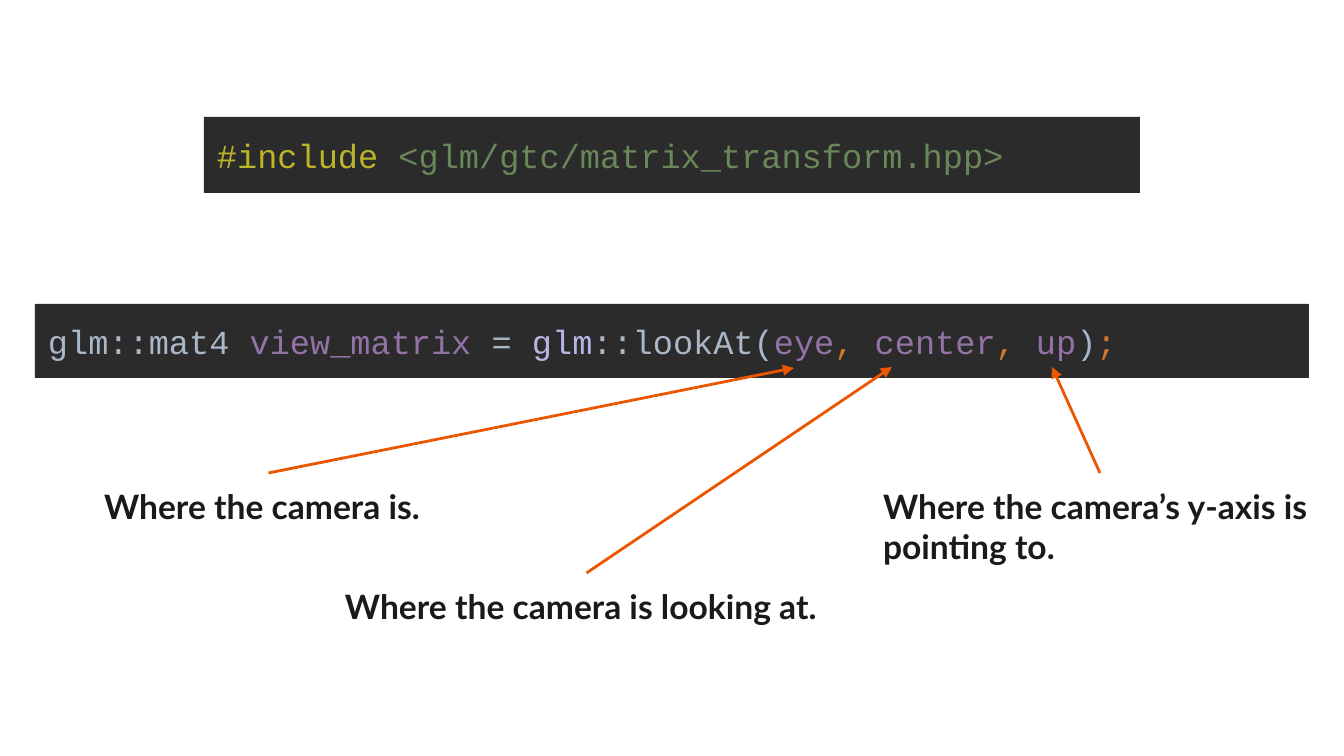
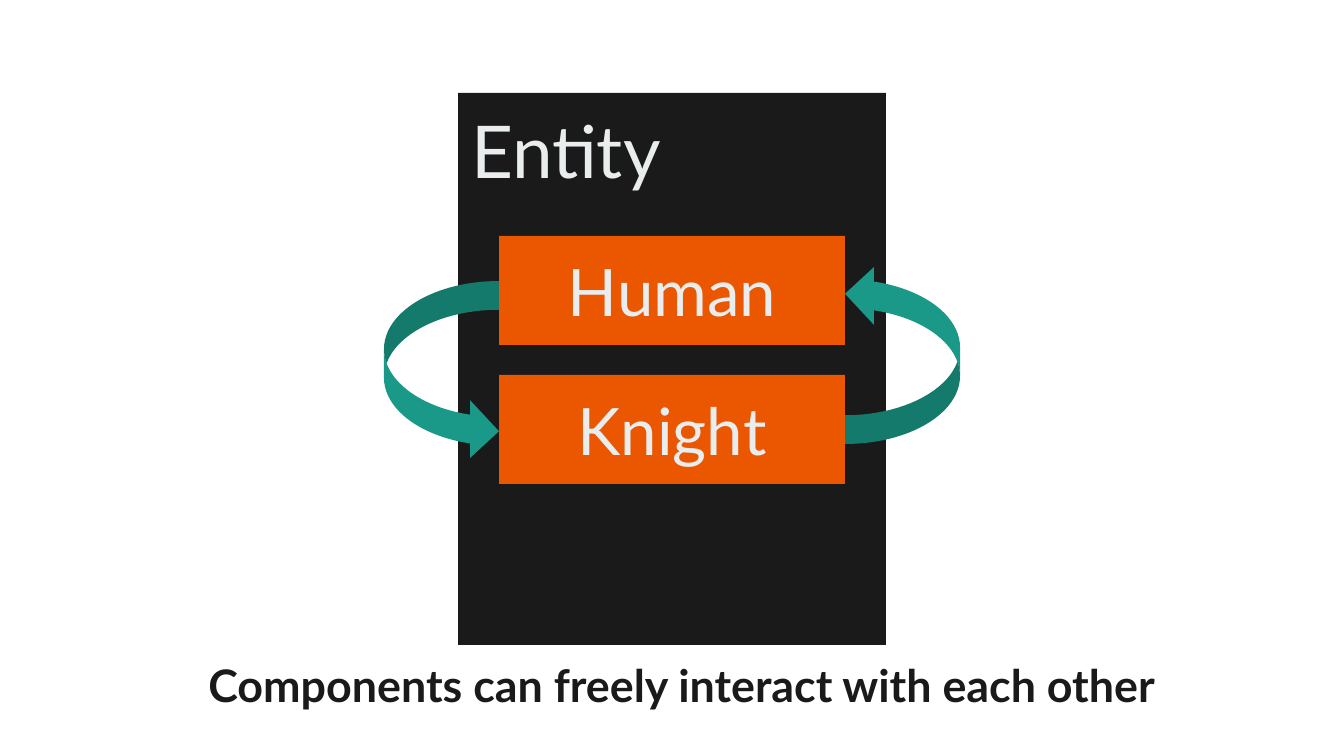
from lxml import etree
from pptx import Presentation
from pptx.dml.color import RGBColor
from pptx.enum.shapes import MSO_CONNECTOR, MSO_SHAPE
from pptx.enum.text import MSO_ANCHOR, PP_ALIGN
from pptx.oxml.ns import qn
from pptx.util import Emu, Pt

PX = 914400 / 134.4
WIDTH, HEIGHT = 1344, 756
INSET = 13

CODE_FONT, TEXT_FONT = "Courier New", "Lato"
INK = RGBColor(0x1A, 0x1A, 0x1A)
PALE = RGBColor(0xE9, 0xED, 0xEE)
ORANGE = RGBColor(0xEB, 0x56, 0x00)
TEAL = RGBColor(0x1A, 0x99, 0x88)
CODE_BACK = RGBColor(0x2B, 0x2B, 0x2B)
PLAIN = RGBColor(0xA9, 0xB7, 0xC6)
VARIABLE = RGBColor(0x93, 0x73, 0xA5)
NAMESPACE = RGBColor(0xB5, 0xB6, 0xE3)
PUNCTUATION = RGBColor(0xCC, 0x78, 0x32)
DIRECTIVE = RGBColor(0xBB, 0xB5, 0x29)
HEADER_FILE = RGBColor(0x6A, 0x87, 0x59)

CODE_LINES = [
    ((204, 117, 936, 76), [
        ("#include ", DIRECTIVE),
        ("<glm/gtc/matrix_transform.hpp>", HEADER_FILE),
    ]),
    ((35, 304, 1274, 74), [
        ("glm::mat4", PLAIN),
        (" view_matrix ", VARIABLE),
        ("= ", PLAIN),
        ("glm", NAMESPACE),
        ("::lookAt(", PLAIN),
        ("eye", VARIABLE),
        (", ", PUNCTUATION),
        ("center", VARIABLE),
        (", ", PUNCTUATION),
        ("up", VARIABLE),
        (")", PLAIN),
        (";", PUNCTUATION),
    ]),
]
ARGUMENT_NOTES = [
    ("Where the camera is.", (91, 473, 355, 74), (794, 368)),
    ("Where the camera is looking at.", (332, 573, 509, 74), (892, 367)),
    ("Where the camera’s y-axis is pointing to.", (870, 473, 460, 74), (1052, 367)),
]

ENTITY = ("Entity", (458, 93, 428, 552))
COMPONENTS = ["Human", "Knight"]
COMPONENT_WIDTH, COMPONENT_HEIGHT = 346, 109
COMPONENT_TOP, COMPONENT_PITCH = 236, 139
LOOP_WIDTH, LOOP_HEIGHT = 115, 179
DOWN_TOP, UP_TOP = 281, 265
CAPTION = ("Components can freely interact with each other", (99, 645, 1165, 85))


def px(*lengths):
    return [Emu(round(length * PX)) for length in lengths]


def add_block(slide, box, fill, preset=MSO_SHAPE.RECTANGLE):
    block = slide.shapes.add_shape(preset, *px(*box))
    block.shadow.inherit = False
    block.fill.solid()
    block.fill.fore_color.rgb = fill
    block.line.fill.background()
    return block


def write(holder, pieces, font, size, bold=False,
          align=PP_ALIGN.LEFT, anchor=MSO_ANCHOR.TOP):
    frame = holder.text_frame
    frame.word_wrap = True
    frame.vertical_anchor = anchor
    frame.margin_left, frame.margin_right, frame.margin_top, frame.margin_bottom = px(*[INSET] * 4)
    paragraph = frame.paragraphs[0]
    paragraph.alignment = align
    for text, color in pieces:
        run = paragraph.add_run()
        run.text = text
        run.font.name = font
        run.font.size = Pt(size)
        run.font.bold = bold
        run.font.color.rgb = color


def add_note(slide, text, box, size, align=PP_ALIGN.LEFT):
    note = slide.shapes.add_textbox(*px(*box))
    write(note, [(text, INK)], TEXT_FONT, size, bold=True, align=align)


def add_arrow(slide, start, end):
    arrow = slide.shapes.add_connector(MSO_CONNECTOR.STRAIGHT, *px(*start, *end))
    arrow.line.color.rgb = ORANGE
    arrow.line.width = Pt(1.5)
    etree.SubElement(arrow.line._get_or_add_ln(), qn("a:tailEnd"), type="triangle")
    etree.SubElement(arrow._element.spPr, qn("a:effectLst"))


def build_camera_slide(slide):
    for box, pieces in CODE_LINES:
        write(add_block(slide, box, CODE_BACK), pieces, CODE_FONT, 18,
              anchor=MSO_ANCHOR.MIDDLE)
    for text, box, argument in ARGUMENT_NOTES:
        left, top, width, _ = box
        add_note(slide, text, box, 18)
        add_arrow(slide, (left + width / 2, top), argument)


def build_entity_slide(slide):
    name, box = ENTITY
    write(add_block(slide, box, INK), [(name, PALE)], TEXT_FONT, 39)
    left = (WIDTH - COMPONENT_WIDTH) // 2
    for row, component in enumerate(COMPONENTS):
        top = COMPONENT_TOP + row * COMPONENT_PITCH
        block = add_block(slide, (left, top, COMPONENT_WIDTH, COMPONENT_HEIGHT), ORANGE)
        write(block, [(component, PALE)], TEXT_FONT, 35,
              align=PP_ALIGN.CENTER, anchor=MSO_ANCHOR.MIDDLE)
    for loop_left, top, turn in [(left - LOOP_WIDTH, DOWN_TOP, 0),
                                 (left + COMPONENT_WIDTH, UP_TOP, 180)]:
        loop = add_block(slide, (loop_left, top, LOOP_WIDTH, LOOP_HEIGHT), TEAL,
                         MSO_SHAPE.CURVED_RIGHT_ARROW)
        loop.rotation = turn
    add_note(slide, *CAPTION, 24, PP_ALIGN.CENTER)


def main():
    deck = Presentation()
    deck.slide_width, deck.slide_height = px(WIDTH, HEIGHT)
    blank = deck.slide_layouts[6]
    for build in (build_camera_slide, build_entity_slide):
        build(deck.slides.add_slide(blank))
    deck.save("out.pptx")


if __name__ == "__main__":
    main()
